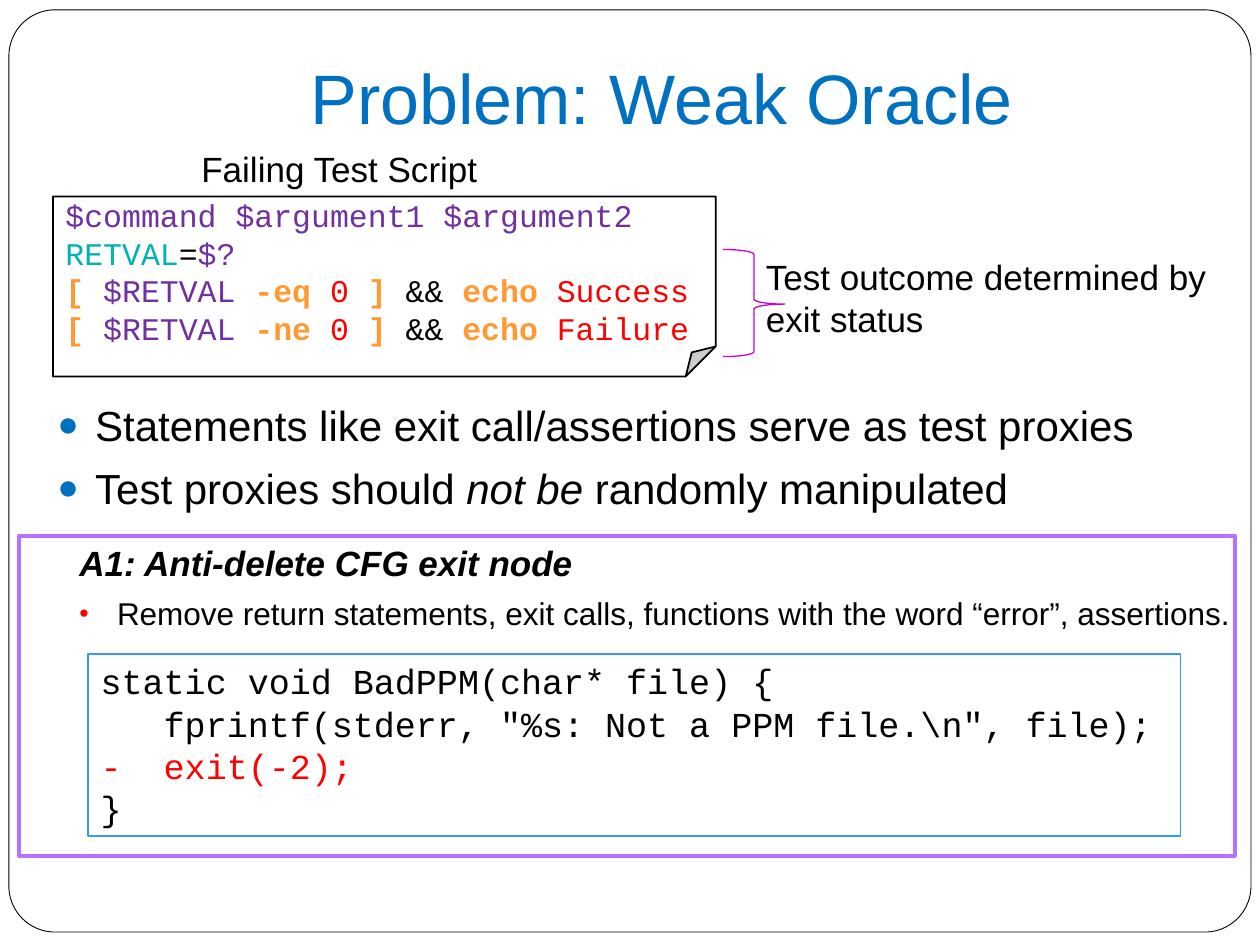
import pptx
import pptx.dml.color
import pptx.enum.shapes
import pptx.enum.text
import pptx.oxml.ns
import pptx.util
from dataclasses import dataclass
from lxml import etree

Cm, Pt = pptx.util.Cm, pptx.util.Pt
SHAPES = pptx.enum.shapes.MSO_SHAPE
ANCHOR = pptx.enum.text.MSO_ANCHOR
ALIGN = pptx.enum.text.PP_ALIGN


@dataclass(frozen=True)
class Theme:
    """Colours, fonts and type sizes of the slide."""
    sans: str = "Arial"
    mono: str = "Courier New"
    title: int = 40
    body: int = 24
    label: int = 20
    code: int = 18
    black: str = "000000"
    white: str = "FFFFFF"
    blue: str = "0070C0"
    purple: str = "7030A0"
    teal: str = "00B2B2"
    orange: str = "FF9933"
    red: str = "FF0000"
    magenta: str = "CC00CC"
    sky: str = "3399FF"
    violet: str = "B870FF"


THEME = Theme()

# A paragraph is a list of runs: (text, colour, style), style holding "b" and "i".


def plain(text, colour=THEME.black, style=""):
    """Return a paragraph made of one run."""
    return [(text, colour, style)]


def exit_check(operator, outcome):
    """Return the script line that tests the exit status."""
    return [("[ ", THEME.orange, "b"), ("$RETVAL ", THEME.purple, ""),
            (operator + " ", THEME.orange, "b"), ("0 ", THEME.red, ""),
            ("]", THEME.orange, "b"), (" && ", THEME.black, ""),
            ("echo ", THEME.orange, "b"), (outcome, THEME.red, "")]


TITLE = [plain("Problem: Weak Oracle", THEME.blue)]
SCRIPT_LABEL = [plain("Failing Test Script")]
TEST_SCRIPT = [
    plain("$command $argument1 $argument2", THEME.purple),
    [("RETVAL", THEME.teal, ""), ("=", THEME.black, ""), ("$?", THEME.purple, "")],
    exit_check("-eq", "Success"),
    exit_check("-ne", "Failure"),
]
OUTCOME = [plain("Test outcome determined by exit status")]
PROXIES = [
    plain("Statements like exit call/assertions serve as test proxies"),
    [("Test proxies should ", THEME.black, ""), ("not be ", THEME.black, "i"),
     ("randomly manipulated", THEME.black, "")],
]
ANTI_PATTERN = [
    plain("A1: Anti-delete CFG exit node", style="bi"),
    plain("Remove return statements, exit calls, functions with the word "
          "“error”, assertions."),
]
PATCH = [
    plain("static void BadPPM(char* file) {"),
    plain('   fprintf(stderr, "%s: Not a PPM file.\\n", file);'),
    plain("-  exit(-2);", THEME.red),
    plain("}"),
]


def rgb(colour):
    """Turn a hex string into a colour."""
    return pptx.dml.color.RGBColor.from_string(colour)


def write(shape, paragraphs, size, font=THEME.sans, anchor=ANCHOR.TOP, align=ALIGN.LEFT):
    """Fill a shape with styled paragraphs and return its paragraphs."""
    frame = shape.text_frame
    frame.word_wrap = True
    frame.vertical_anchor = anchor
    frame.text = "\n".join("".join(run[0] for run in runs) for runs in paragraphs)
    for paragraph, runs in zip(frame.paragraphs, paragraphs):
        paragraph.alignment = align
        paragraph.text = ""
        for text, colour, style in runs:
            run = paragraph.add_run()
            run.text = text
            run.font.name, run.font.size = font, Pt(size)
            run.font.color.rgb = rgb(colour)
            run.font.bold, run.font.italic = "b" in style, "i" in style
    return frame.paragraphs


def add_text(slide, box, paragraphs, size, **options):
    """Add a text box and return its paragraphs."""
    return write(slide.shapes.add_textbox(*map(Cm, box)), paragraphs, size, **options)


def add_outline(slide, kind, box, line, width, fill=None, adjust=()):
    """Add a preset shape with an outline and an optional fill."""
    shape = slide.shapes.add_shape(kind, *map(Cm, box))
    shape.shadow.inherit = False
    for index, value in enumerate(adjust):
        shape.adjustments[index] = value
    if fill:
        shape.fill.solid()
        shape.fill.fore_color.rgb = rgb(fill)
    else:
        shape.fill.background()
    shape.line.color.rgb = rgb(line)
    shape.line.width = Pt(width)
    return shape


def add_bullet(paragraph, mark, colour, space):
    """Give a paragraph a coloured bullet, a hanging indent and space before."""
    paragraph.space_before = Pt(space)
    properties = paragraph._p.get_or_add_pPr()
    indent = Cm(0.76)
    properties.set("marL", str(indent))
    properties.set("indent", str(-indent))
    qn = pptx.oxml.ns.qn
    bullet_colour = etree.SubElement(properties, qn("a:buClr"))
    etree.SubElement(bullet_colour, qn("a:srgbClr"), val=colour)
    etree.SubElement(properties, qn("a:buSzPct"), val="85000")
    etree.SubElement(properties, qn("a:buFont"), typeface=THEME.sans)
    etree.SubElement(properties, qn("a:buChar"), char=mark)


def build():
    """Build the slide and save it."""
    deck = pptx.Presentation()
    deck.slide_width, deck.slide_height = Cm(25.4), Cm(19.05)
    slide = deck.slides.add_slide(deck.slide_layouts[6])

    add_outline(slide, SHAPES.ROUNDED_RECTANGLE, (0.18, 0.2, 25.04, 18.59),
                THEME.black, 0.5, THEME.white, [0.05])
    title = slide.shapes.add_textbox(*map(Cm, (2.54, -0.13, 21.59, 3.18)))
    write(title, TITLE, THEME.title, anchor=ANCHOR.BOTTOM, align=ALIGN.CENTER)
    title.text_frame.margin_bottom = Cm(0.25)

    for proxy in add_text(slide, (0.91, 7.92, 24.23, 2.8), PROXIES, THEME.body):
        add_bullet(proxy, "●", THEME.blue, 7.2)

    script_page = add_outline(slide, SHAPES.FOLDED_CORNER, (1.07, 3.96, 13.36, 3.63),
                              THEME.black, 1, THEME.white)
    write(script_page, TEST_SCRIPT, THEME.code, font=THEME.mono, anchor=ANCHOR.MIDDLE)
    add_text(slide, (3.81, 2.84, 6.12, 1.02), SCRIPT_LABEL, THEME.label)
    add_text(slide, (15.19, 5.03, 9.7, 1.96), OUTCOME, THEME.label)
    add_outline(slide, SHAPES.RIGHT_BRACE, (14.58, 5.03, 1.24, 2.16),
                THEME.magenta, 0.75, adjust=[0.08, 0.51])

    heading, rule = add_text(slide, (1.35, 10.8, 24.33, 2.4), ANTI_PATTERN, THEME.label)
    for run in rule.runs:
        run.font.size = Pt(THEME.code)
    add_bullet(rule, "•", THEME.red, 5.8)
    patch_box = add_outline(slide, SHAPES.RECTANGLE, (1.78, 13.18, 22.02, 3.68),
                            THEME.sky, 1, THEME.white)
    write(patch_box, PATCH, THEME.label, font=THEME.mono)
    add_outline(slide, SHAPES.RECTANGLE, (0.38, 10.8, 24.51, 6.45), THEME.violet, 2.25)

    deck.save("out.pptx")


build()
